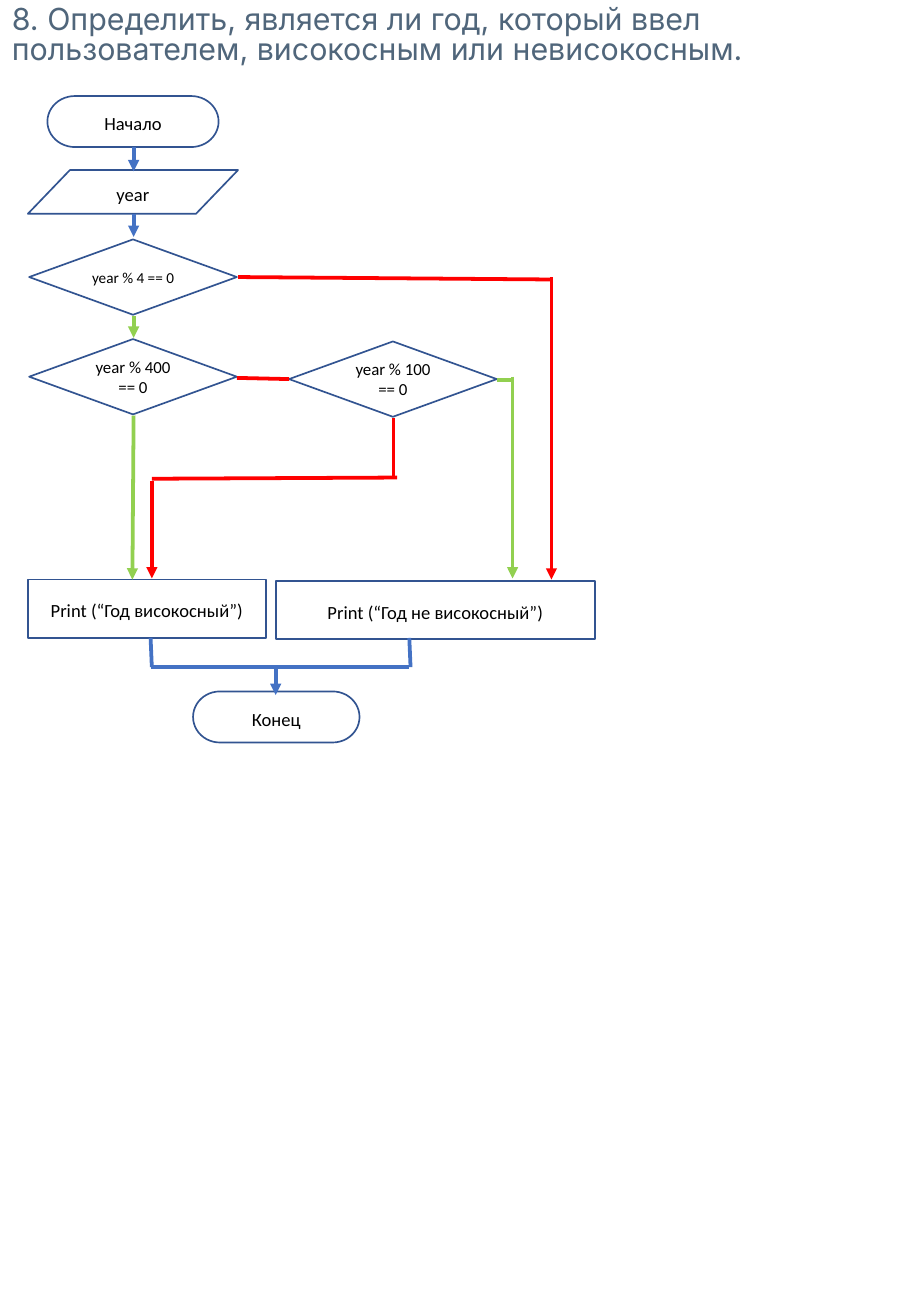
from lxml import etree
from pptx import Presentation
from pptx.dml.color import RGBColor
from pptx.enum.shapes import MSO_CONNECTOR, MSO_SHAPE as SHAPE
from pptx.enum.text import MSO_ANCHOR, MSO_AUTO_SIZE, PP_ALIGN
from pptx.oxml.ns import qn
from pptx.util import Inches, Pt

COLORS = {
    "title": "50667B",
    "text": "000000",
    "outline": "325491",
    "box": "FFFFFF",
    "flow": "4472C4",
    "yes": "92D050",
    "no": "FF0000",
}

TITLE = ("8. Определить, является ли год, который ввел пользователем, "
         "високосным или невисокосным.")
TITLE_SPACING = {"line_spacing": Pt(18), "space_before": Pt(15), "space_after": Pt(7.5)}
STEP_SPACING = {"alignment": PP_ALIGN.CENTER, "line_spacing": 1.15, "space_after": Pt(10)}
DECISION_SPACING = {"alignment": PP_ALIGN.CENTER}
MARGINS = ("margin_left", "margin_top", "margin_right", "margin_bottom")

# kind, text, left, top, width, height
STEPS = [
    (SHAPE.FLOWCHART_DATA, "year", 0.23, 1.4, 1.73, 0.36),
    (SHAPE.FLOWCHART_TERMINATOR, "Начало", 0.39, 0.79, 1.41, 0.42),
    (SHAPE.FLOWCHART_TERMINATOR, "Конец", 1.59, 5.69, 1.37, 0.42),
    (SHAPE.FLOWCHART_PROCESS, "Print (“Год не високосный”)", 2.27, 4.78, 2.63, 0.48),
    (SHAPE.FLOWCHART_PROCESS, "Print (“Год високосный”)", 0.23, 4.77, 1.96, 0.48),
]

# text, left, top, font size, inner margin
DECISIONS = [
    ("year % 4 == 0", 0.24, 1.97, 9, 0),
    ("year % 400 == 0", 0.24, 2.79, 10, None),
    ("year % 100 == 0", 2.38, 2.81, 10, None),
]

# branch, start x, start y, end x, end y
LINES = [
    ("no", 1.96, 2.28, 4.54, 2.3),
    ("yes", 4.09, 3.13, 4.22, 3.13),
    ("no", 1.95, 3.11, 2.38, 3.12),
    ("flow", 1.24, 5.25, 1.25, 5.49),
    ("flow", 1.24, 5.49, 3.37, 5.49),
    ("flow", 3.37, 5.25, 3.38, 5.49),
    ("no", 1.25, 3.94, 3.27, 3.93),
    ("no", 3.24, 3.44, 3.24, 3.94),
]
ARROWS = [
    ("flow", 1.1, 1.21, 1.1, 1.41),
    ("flow", 1.1, 1.76, 1.1, 1.95),
    ("yes", 1.1, 2.6, 1.1, 2.78),
    ("flow", 2.27, 5.49, 2.27, 5.72),
    ("no", 1.25, 3.96, 1.25, 4.76),
    ("no", 4.54, 2.28, 4.54, 4.77),
    ("yes", 1.1, 3.42, 1.09, 4.77),
    ("yes", 4.22, 3.1, 4.22, 4.76),
]


def color(name):
    return RGBColor.from_string(COLORS[name])


def write(frame, text, font, size, ink, spacing):
    frame.word_wrap = True
    paragraph = frame.paragraphs[0]
    for attribute, value in spacing.items():
        setattr(paragraph, attribute, value)
    run = paragraph.add_run()
    run.text = text
    run.font.name = font
    run.font.size = Pt(size)
    run.font.color.rgb = color(ink)


def add_title(slide):
    title = slide.shapes.add_textbox(0, 0, Inches(7.5), Inches(0.61))
    write(title.text_frame, TITLE, "Inter", 18, "title", TITLE_SPACING)
    title.text_frame.auto_size = MSO_AUTO_SIZE.SHAPE_TO_FIT_TEXT


def add_node(slide, kind, text, left, top, width, height,
             size=11, spacing=STEP_SPACING, margin=None):
    """Add one outlined flowchart block with centred text."""
    node = slide.shapes.add_shape(kind, *map(Inches, (left, top, width, height)))
    node.shadow.inherit = False
    node.fill.solid()
    node.fill.fore_color.rgb = color("box")
    node.line.color.rgb = color("outline")
    node.line.width = Pt(1)
    frame = node.text_frame
    frame.vertical_anchor = MSO_ANCHOR.MIDDLE
    if margin is not None:
        for side in MARGINS:
            setattr(frame, side, Inches(margin))
    write(frame, text, "Calibri", size, "text", spacing)


def add_line(slide, branch, *ends, arrow=False):
    link = slide.shapes.add_connector(MSO_CONNECTOR.STRAIGHT, *map(Inches, ends))
    link.line.color.rgb = color(branch)
    link.line.width = Pt(2.25)
    if arrow:
        etree.SubElement(link.line._get_or_add_ln(), qn("a:tailEnd"), type="triangle")
    etree.SubElement(link._element.spPr, qn("a:effectLst"))


def main():
    deck = Presentation()
    deck.slide_width, deck.slide_height = Inches(7.5), Inches(10.83)
    slide = deck.slides.add_slide(deck.slide_layouts[6])
    add_title(slide)
    for step in STEPS:
        add_node(slide, *step)
    for text, left, top, size, margin in DECISIONS:
        add_node(slide, SHAPE.FLOWCHART_DECISION, text, left, top, 1.71, 0.62,
                 size, DECISION_SPACING, margin)
    for line in LINES:
        add_line(slide, *line)
    for arrow in ARROWS:
        add_line(slide, *arrow, arrow=True)
    deck.save("out.pptx")


if __name__ == "__main__":
    main()
